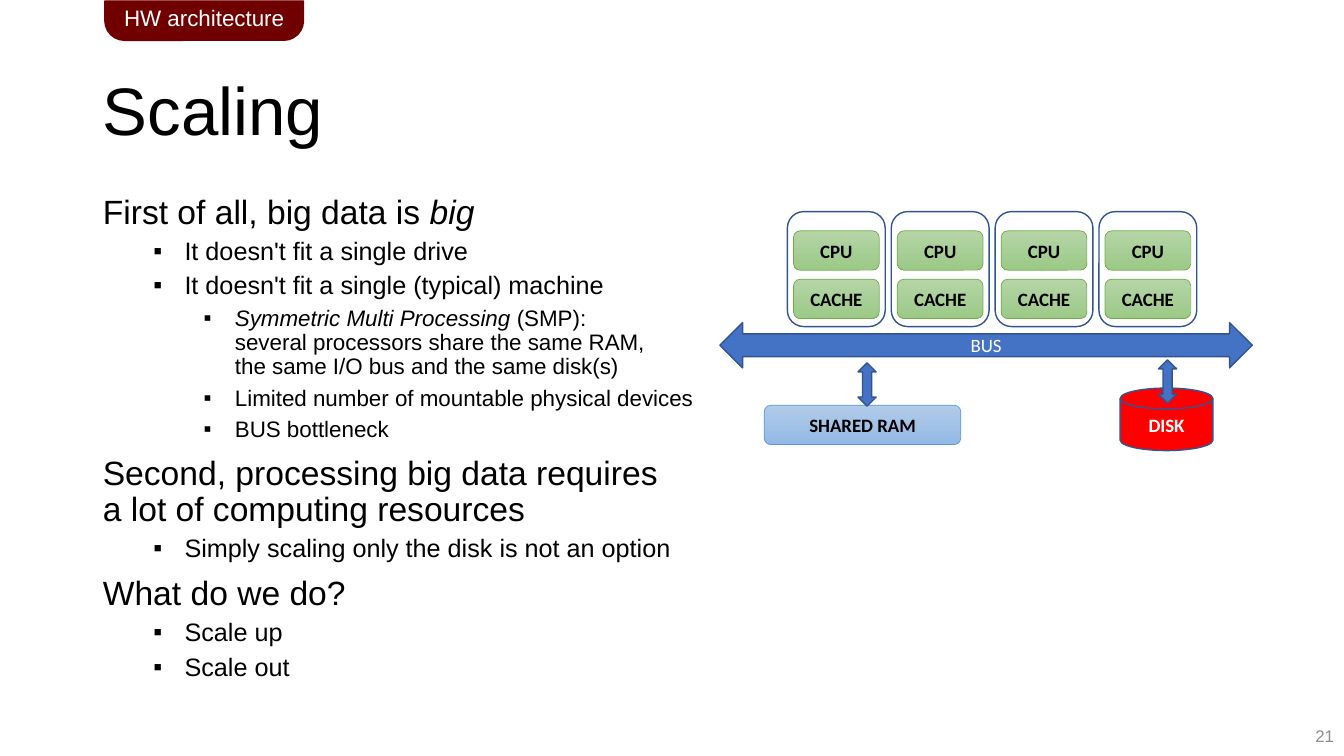
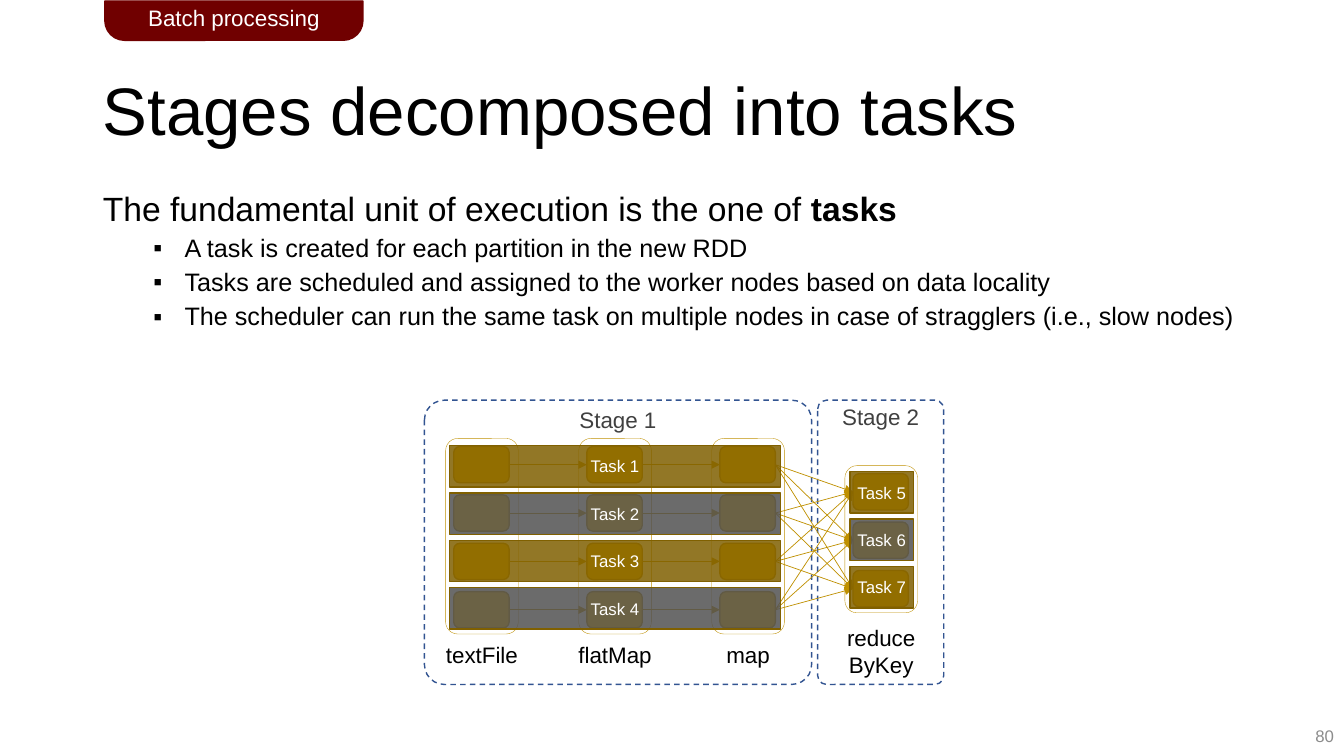
"""Build two lecture slides: hardware scaling and stages split into tasks."""
from dataclasses import dataclass
from itertools import pairwise, product
from typing import NamedTuple

from lxml import etree
from pptx import Presentation
from pptx.dml.color import RGBColor
from pptx.enum import dml, shapes, text
from pptx.oxml import ns
from pptx.util import Inches, Pt

Kind = shapes.MSO_SHAPE
Align = text.PP_ALIGN
Anchor = text.MSO_ANCHOR


@dataclass(frozen=True)
class Theme:
    """Colours, fonts and type sizes of the deck."""
    sans: str = "Arial"
    diagram: str = "Calibri"
    ink: str = "000000"
    paper: str = "FFFFFF"
    muted: str = "8C8C8C"
    caption: str = "404040"
    tab: str = "700000"
    blue: str = "4472C4"
    navy: str = "325491"
    red: str = "FF0000"
    green: str = "70AD47"
    green_fade: tuple[str, str] = ("B5D5A7", "9CC987")
    sky: str = "5B9BD5"
    sky_fade: tuple[str, str] = ("B1CBE9", "93B9E4")
    amber: str = "FFC000"
    amber_edge: str = "BD8E00"
    gold: str = "BF9000"
    bronze: str = "806000"
    slate: str = "525252"
    title_size: float = 48
    level_sizes: tuple[float, ...] = (24, 18, 16)
    label_size: float = 16
    chip_size: float = 13.5
    small_size: float = 12


THEME = Theme()


class Cell(NamedTuple):
    """Position and extent in columns and rows of the page grid."""
    col: float
    row: float
    wide: float
    tall: float


class Grid(NamedTuple):
    """Repeating pitch inside the page grid."""
    col: float
    row: float
    pitch_x: float
    pitch_y: float

    def cell(self, column: int, line: int, wide: float, tall: float) -> Cell:
        """Return the cell at a column and line of this grid."""
        return Cell(self.col + column * self.pitch_x, self.row + line * self.pitch_y, wide, tall)


class Style(NamedTuple):
    """Type settings of a label."""
    size: float
    color: str
    font: str = THEME.sans
    bold: bool = False


class Look(NamedTuple):
    """Fill and outline of a shape."""
    line: str
    weight: float = 1
    fill: str | None = None
    fade: tuple[str, str] | None = None
    alpha: int = 100
    dashed: bool = False


class Span(NamedTuple):
    """Stretch of text with one emphasis."""
    words: str
    italic: bool = False
    bold: bool = False


class Item(NamedTuple):
    """One paragraph of the body list."""
    level: int
    spans: tuple[Span, ...]


class Operation(NamedTuple):
    """Column of partitions in the task diagram."""
    name: str
    partitions: int
    top: float
    label_row: float


PAGE = Cell(0, 0, 13.33, 7.5)
TITLE = Cell(0.92, 0.4, 11.5, 1.45)
NUMBER = Cell(10.33, 7.1, 3, 0.4)
CORES = Grid(7.81, 2.1, 1.03, 0.48)
COLUMNS = Grid(4.42, 0, 1.32, 0.48)
BAR_PITCH = 0.47

TITLE_STYLE = Style(THEME.title_size, THEME.ink)
LABEL = Style(THEME.label_size, THEME.ink)
TAB_LABEL = Style(THEME.label_size, THEME.paper)
STAGE_LABEL = Style(THEME.label_size, THEME.caption)
TASK_LABEL = Style(THEME.small_size, THEME.paper)
NUMBER_STYLE = Style(THEME.small_size, THEME.muted)
CHIP_LABEL = Style(THEME.chip_size, THEME.ink, THEME.diagram, True)
DISK_LABEL = CHIP_LABEL._replace(color=THEME.paper)
BUS_LABEL = DISK_LABEL._replace(bold=False)

TAB_LOOK = Look(THEME.tab, fill=THEME.tab)
FRAME = Look(THEME.navy)
STAGE = Look(THEME.navy, dashed=True)
ARROW = Look(THEME.navy, fill=THEME.blue)
DISK = Look(THEME.navy, fill=THEME.red)
CHIP = Look(THEME.green, 0.5, fade=THEME.green_fade)
MEMORY = Look(THEME.sky, 0.5, fade=THEME.sky_fade)
HOLDER = Look(THEME.gold, 0.25)
PARTITION = Look(THEME.amber_edge, fill=THEME.amber)
TASKS = tuple(Look(THEME.bronze, fill=fill, alpha=85) for fill in (THEME.bronze, THEME.slate))

SCALING = (
    Item(0, (Span("First of all, big data is "), Span("big", italic=True))),
    Item(1, (Span("It doesn't fit a single drive"),)),
    Item(1, (Span("It doesn't fit a single (typical) machine"),)),
    Item(2, (Span("Symmetric Multi Processing", italic=True),
             Span(" (SMP):\nseveral processors share the same RAM,\n"
                  "the same I/O bus and the same disk(s)"))),
    Item(2, (Span("Limited number of mountable physical devices"),)),
    Item(2, (Span("BUS bottleneck"),)),
    Item(0, (Span("Second, processing big data requires\na lot of computing resources"),)),
    Item(1, (Span("Simply scaling only the disk is not an option"),)),
    Item(0, (Span("What do we do?"),)),
    Item(1, (Span("Scale up"),)),
    Item(1, (Span("Scale out"),)),
)
DECOMPOSED = (
    Item(0, (Span("The fundamental unit of execution is the one of "), Span("tasks", bold=True))),
    Item(1, (Span("A task is created for each partition in the new RDD"),)),
    Item(1, (Span("Tasks are scheduled and assigned to the worker nodes based on data locality"),)),
    Item(1, (Span("The scheduler can run the same task on multiple nodes "
                  "in case of stragglers (i.e., slow nodes)"),)),
)
OPERATIONS = (
    Operation("textFile", 4, 4.43, 6.31),
    Operation("flatMap", 4, 4.43, 6.31),
    Operation("map", 4, 4.43, 6.31),
    Operation("reduce\nByKey", 3, 4.7, 6.14),
)


def rgb(color: str) -> RGBColor:
    """Turn a hex string into a colour."""
    return RGBColor.from_string(color)


def inches(cell: Cell) -> list[int]:
    """Convert a cell of the page grid to lengths."""
    return [Inches(length) for length in cell]


def add_span(para, span: Span, style: Style) -> None:
    """Append a span, breaking the line where it says so."""
    for index, words in enumerate(span.words.split("\n")):
        if index:
            para.add_line_break()
        run = para.add_run()
        run.text = words
        run.font.name, run.font.size = style.font, Pt(style.size)
        run.font.color.rgb = rgb(style.color)
        run.font.bold, run.font.italic = style.bold or span.bold, span.italic


def write(box, words: str, style: Style, align=Align.CENTER, anchor=Anchor.MIDDLE) -> None:
    """Fill a shape or text box with one paragraph."""
    frame = box.text_frame
    frame.word_wrap, frame.vertical_anchor = True, anchor
    frame.paragraphs[0].alignment = align
    add_span(frame.paragraphs[0], Span(words), style)


def draw(page, kind, cell: Cell, look: Look, adjust: tuple[float, ...] = ()):
    """Draw a preset shape with its fill and outline."""
    shape = page.shapes.add_shape(kind, *inches(cell))
    shape.shadow.inherit = False
    for index, value in enumerate(adjust):
        shape.adjustments[index] = value
    if look.fade:
        shape.fill.gradient()
        shape.fill.gradient_angle = 270
        for stop, color in zip(shape.fill.gradient_stops, look.fade):
            stop.color.rgb = rgb(color)
    elif look.fill:
        shape.fill.solid()
        shape.fill.fore_color.rgb = rgb(look.fill)
        if look.alpha < 100:
            tint = shape._element.spPr.find(ns.qn("a:solidFill"))[0]
            etree.SubElement(tint, ns.qn("a:alpha"), val=str(look.alpha * 1000))
    else:
        shape.fill.background()
    shape.line.color.rgb, shape.line.width = rgb(look.line), Pt(look.weight)
    if look.dashed:
        shape.line.dash_style = dml.MSO_LINE.DASH
    return shape


def link(page, source, target) -> None:
    """Join the right side of one shape to the left side of another."""
    arrow = page.shapes.add_connector(shapes.MSO_CONNECTOR.STRAIGHT, 0, 0, 0, 0)
    arrow.begin_connect(source, 3)
    arrow.end_connect(target, 1)
    arrow.line.color.rgb, arrow.line.width = rgb(THEME.gold), Pt(0.5)
    etree.SubElement(arrow.line._get_or_add_ln(), ns.qn("a:tailEnd"), type="triangle")
    etree.SubElement(arrow._element.spPr, ns.qn("a:effectLst"))


def place(box, cell: Cell) -> None:
    """Move a placeholder to a cell."""
    box.left, box.top, box.width, box.height = inches(cell)
    box.text_frame.auto_size = text.MSO_AUTO_SIZE.NONE


def fill_list(box, items: tuple[Item, ...]) -> None:
    """Write the body list, bulleted below the first level."""
    frame = box.text_frame
    frame.word_wrap, frame.vertical_anchor = True, Anchor.TOP
    for index, (level, spans) in enumerate(items):
        para = frame.add_paragraph() if index else frame.paragraphs[0]
        para.level = level
        layout = para._p.get_or_add_pPr()
        layout.set("marL", str(Inches(0.31 + level * 0.5) if level else 0))
        layout.set("indent", str(Inches(-0.31) if level else 0))
        if level:
            etree.SubElement(layout, ns.qn("a:buChar"), char="▪")
        else:
            etree.SubElement(layout, ns.qn("a:buNone"))
        para.line_spacing = 0.9
        para.space_before = Pt((5 if level else 10) if index else 0)
        for span in spans:
            add_span(para, span, Style(THEME.level_sizes[level], THEME.ink))


def start_page(deck, title: str, items: tuple[Item, ...], body: Cell, tab: str,
               tab_wide: float, number: str):
    """Add a page with title, list, section tab and number."""
    page = deck.slides.add_slide(deck.slide_layouts[1])
    heading, content = page.placeholders
    place(heading, TITLE)
    write(heading, title, TITLE_STYLE, Align.LEFT)
    heading.text_frame.paragraphs[0].line_spacing = 0.9
    place(content, body)
    fill_list(content, items)
    write(page.shapes.add_textbox(*inches(NUMBER)), number, NUMBER_STYLE, Align.RIGHT)
    marker = draw(page, Kind.ROUND_2_SAME_RECTANGLE, Cell(1.04, 0.01, tab_wide, 0.39),
                  TAB_LOOK, (0, 0.5))
    write(marker, tab, TAB_LABEL)
    return page


def draw_machine(page) -> None:
    """Draw processors, bus, memory and disk."""
    chips = CORES._replace(col=CORES.col + 0.06, row=CORES.row + 0.19)
    for core in range(4):
        for line, name in enumerate(("CPU", "CACHE")):
            chip = draw(page, Kind.ROUNDED_RECTANGLE, chips.cell(core, line, 0.85, 0.39), CHIP)
            write(chip, name, CHIP_LABEL)
        draw(page, Kind.ROUNDED_RECTANGLE, CORES.cell(core, 0, 0.97, 1.14), FRAME)
    parts = (
        (Kind.LEFT_RIGHT_ARROW, Cell(7.14, 3.2, 5.28, 0.45), ARROW, "BUS", BUS_LABEL),
        (Kind.ROUNDED_RECTANGLE, Cell(7.58, 4.02, 1.95, 0.39), MEMORY, "SHARED RAM", CHIP_LABEL),
        (Kind.FLOWCHART_MAGNETIC_DISK, Cell(11.11, 3.85, 0.92, 0.62), DISK, "DISK", DISK_LABEL),
    )
    for kind, cell, look, name, style in parts:
        write(draw(page, kind, cell, look), name, style)
    for col, row in ((8.51, 3.6), (11.49, 3.57)):
        draw(page, Kind.UP_DOWN_ARROW, Cell(col, row, 0.18, 0.43), ARROW)


def draw_stages(page) -> None:
    """Draw both stages, their partitions, links and tasks."""
    for index, (col, wide) in enumerate(((4.21, 3.84), (8.11, 1.25)), 1):
        stage = draw(page, Kind.ROUNDED_RECTANGLE, Cell(col, 3.97, wide, 2.82), STAGE, (0.07,))
        stage.text_frame.margin_top = 0
        write(stage, f"Stage {index}", STAGE_LABEL, anchor=Anchor.TOP)
    columns = []
    for column, (name, count, top, label_row) in enumerate(OPERATIONS):
        grid = COLUMNS._replace(row=top)
        left = grid.cell(column, 0, 0, 0).col
        draw(page, Kind.ROUNDED_RECTANGLE,
             Cell(left, top - 0.08, 0.72, count * grid.pitch_y + 0.02), HOLDER)
        inner = grid._replace(col=grid.col + 0.08)
        columns.append([draw(page, Kind.ROUNDED_RECTANGLE, inner.cell(column, line, 0.55, 0.36),
                             PARTITION) for line in range(count)])
        label = page.shapes.add_textbox(*inches(Cell(left - 0.2, label_row, 1.12, 0.37)))
        write(label, name, LABEL, anchor=Anchor.TOP)
    for sources, targets in pairwise(columns):
        pairs = zip(sources, targets) if len(sources) == len(targets) else product(sources, targets)
        for source, target in pairs:
            link(page, source, target)
    bars = [Cell(4.46, 4.42 + line * BAR_PITCH, 3.28, 0.41) for line in range(4)]
    bars += [Cell(8.43, 4.68 + line * BAR_PITCH, 0.63, 0.41) for line in range(3)]
    for index, cell in enumerate(bars):
        bar = draw(page, Kind.ROUNDED_RECTANGLE, cell, TASKS[index % 2], (0,))
        bar.text_frame.margin_left = bar.text_frame.margin_right = Inches(0.02)
        write(bar, f"Task {index + 1}", TASK_LABEL)


def main() -> None:
    """Assemble and save the deck."""
    deck = Presentation()
    deck.slide_width, deck.slide_height = Inches(PAGE.wide), Inches(PAGE.tall)
    draw_machine(start_page(deck, "Scaling", SCALING, Cell(0.92, 1.89, 11.5, 5.2),
                            "HW architecture", 1.97, "21"))
    draw_stages(start_page(deck, "Stages decomposed into tasks", DECOMPOSED,
                           Cell(0.92, 1.86, 11.5, 4.76), "Batch processing", 2.56, "80"))
    deck.save("out.pptx")


if __name__ == "__main__":
    main()
